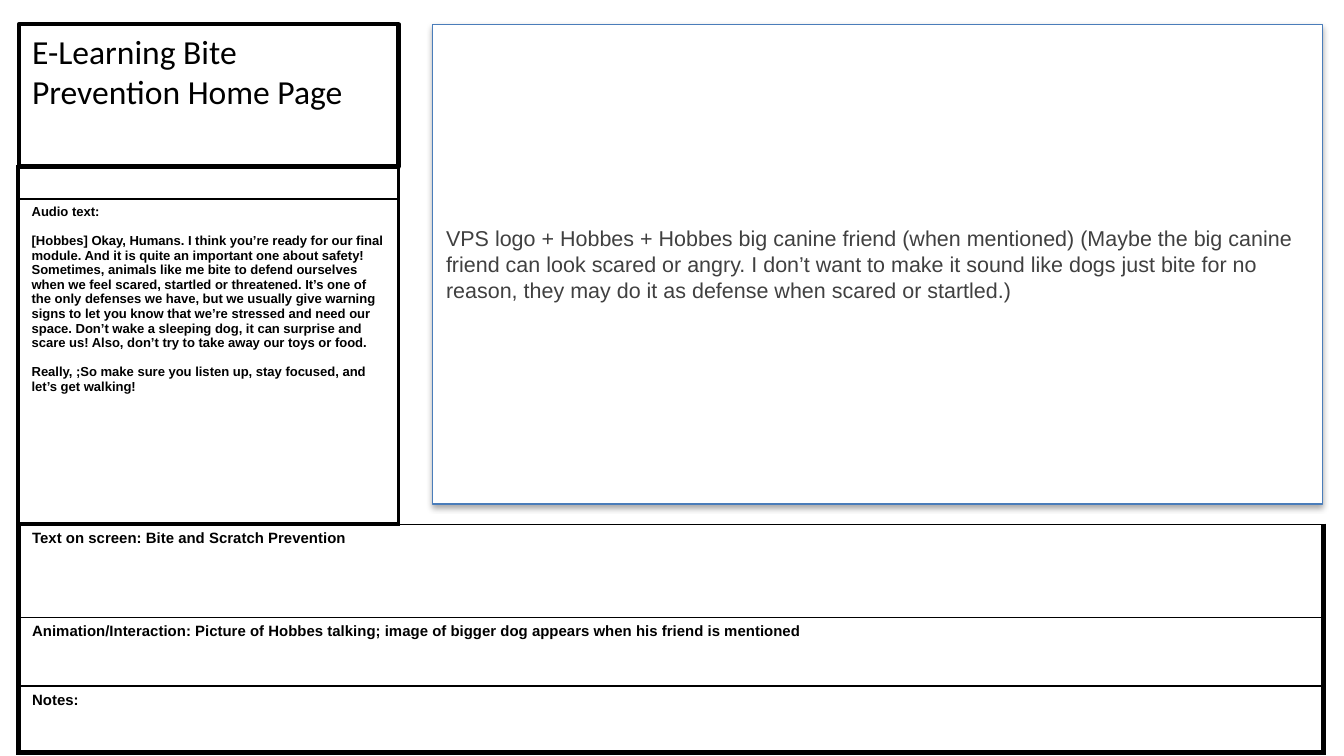
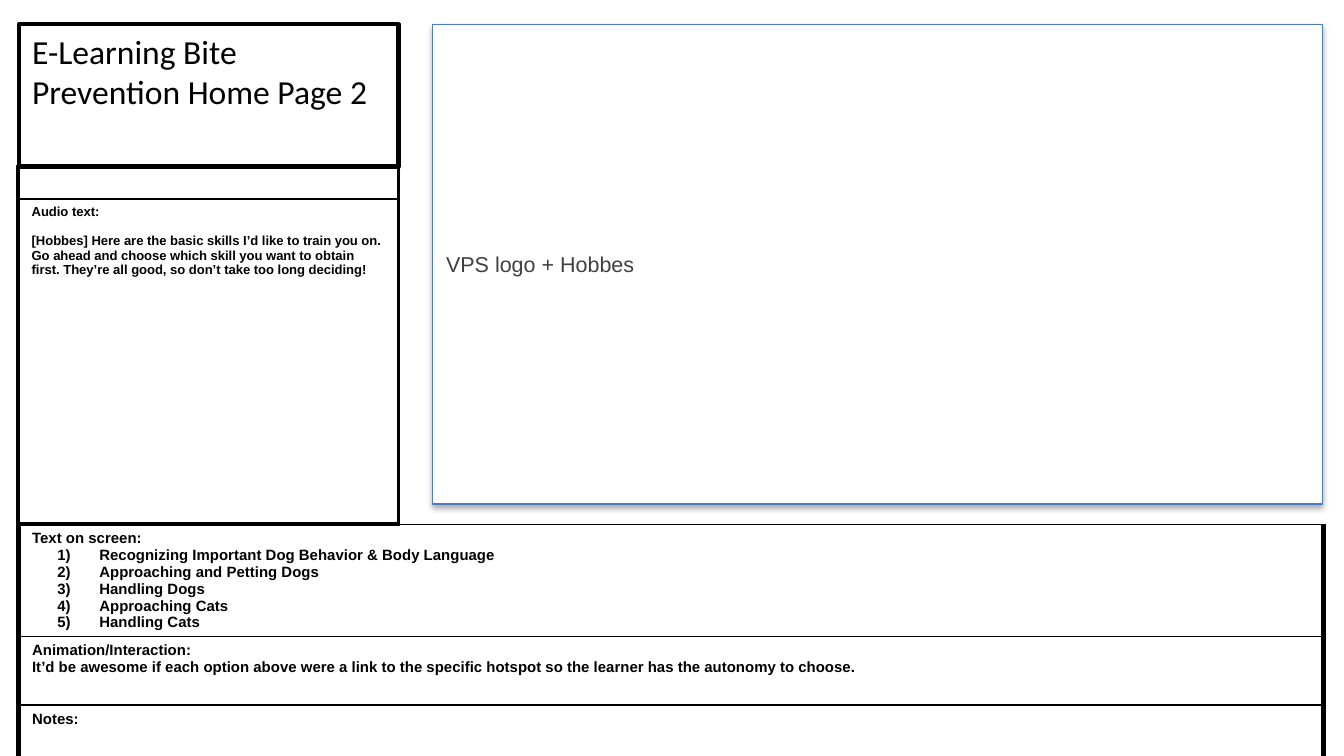
"""Build a two-slide e-learning storyboard with script, screen and remark panels."""
from dataclasses import dataclass

from lxml import etree
from pptx import Presentation
from pptx.dml.color import RGBColor
from pptx.enum.text import MSO_ANCHOR, MSO_AUTO_SIZE, PP_ALIGN
from pptx.oxml import parse_xml
from pptx.oxml.ns import nsdecls, qn
from pptx.util import Pt

LEFT = PP_ALIGN.LEFT
TOP, MIDDLE = MSO_ANCHOR.TOP, MSO_ANCHOR.MIDDLE
NO_AUTOFIT = MSO_AUTO_SIZE.NONE

STORYBOARD = [
    {
        "title": "E-Learning Bite Prevention Home Page",
        "audio": [
            "[Hobbes] Okay, Humans. I think you’re ready for our final module. And it is "
            "quite an important one about safety! Sometimes, animals like me bite to defend "
            "ourselves when we feel scared, startled or threatened. It’s one of the only "
            "defenses we have, but we usually give warning signs to let you know that we’re "
            "stressed and need our space. Don’t wake a sleeping dog, it can surprise and "
            "scare us! Also, don’t try to take away our toys or food.",
            "Really, ;So make sure you listen up, stay focused, and let’s get walking!",
        ],
        "scene": "VPS logo + Hobbes + Hobbes big canine friend (when mentioned) (Maybe the "
                 "big canine friend can look scared or angry. I don’t want to make it sound "
                 "like dogs just bite for no reason, they may do it as defense when scared "
                 "or startled.)",
        "screen": ["Text on screen: Bite and Scratch Prevention"],
        "options": [],
        "interaction": ["Animation/Interaction: Picture of Hobbes talking; image of bigger "
                        "dog appears when his friend is mentioned"],
    },
    {
        "title": "E-Learning Bite Prevention Home Page 2",
        "audio": [
            "[Hobbes] Here are the basic skills I’d like to train you on. Go ahead and choose "
            "which skill you want to obtain first. They’re all good, so don’t take too long "
            "deciding!",
        ],
        "scene": "VPS logo + Hobbes",
        "screen": ["Text on screen:"],
        "options": [
            "Recognizing Important Dog Behavior & Body Language",
            "Approaching and Petting Dogs",
            "Handling Dogs",
            "Approaching Cats",
            "Handling Cats",
        ],
        "interaction": [
            "Animation/Interaction:",
            "It’d be awesome if each option above were a link to the specific hotspot so the "
            "learner has the autonomy to choose.",
        ],
    },
]


@dataclass(frozen=True)
class Theme:
    black: str = "000000"
    white: str = "FFFFFF"
    gray: str = "404040"
    blue: str = "4A7DBA"
    heading: str = "Calibri"
    text: str = "Arial"
    title_size: float = 18
    scene_size: float = 11.5
    detail_size: float = 8
    audio_size: float = 7
    rule: float = 1
    frame: float = 2.25
    heavy: float = 3


THEME = Theme()
SLIDE_SIZE = 720, 405
TITLE_BOX = 10, 13, 203.5, 76.25
SCENE_BOX = 231.75, 13, 476.75, 257
AUDIO_AT, AUDIO_COLS, AUDIO_ROWS = (9.75, 89.25), [203.75], [17.5, 174]
DETAIL_AT, DETAIL_COLS, DETAIL_ROWS = (10, 281), [345, 354], [49.75, 36.75, 35.5]
CELL_INSETS = {"margin_left": Pt(7.2), "margin_right": Pt(7.2),
               "margin_top": Pt(3), "margin_bottom": Pt(3)}
BOX_INSETS = {"margin_left": Pt(7.2), "margin_right": Pt(7.2),
              "margin_top": Pt(3.6), "margin_bottom": Pt(3.6)}

TITLE_FONT = {"name": THEME.heading, "size": Pt(THEME.title_size), "bold": False}
SCENE_FONT = {"name": THEME.text, "size": Pt(THEME.scene_size), "bold": False}
DETAIL_FONT = {"name": THEME.text, "size": Pt(THEME.detail_size), "bold": True}
AUDIO_FONT = {**DETAIL_FONT, "size": Pt(THEME.audio_size)}

FLUSH = {"alignment": LEFT, "space_before": Pt(0)}
TITLE_SPACING = {**FLUSH, "space_before": Pt(5.4)}
SPEECH_SPACING = {**FLUSH, "space_before": Pt(7.8)}


def apply(target, values):
    for name, value in values.items():
        setattr(target, name, value)


def write(frame, lines, font, color=THEME.black):
    for index, (text, spacing, bullet) in enumerate(lines):
        paragraph = frame.paragraphs[0] if index == 0 else frame.add_paragraph()
        apply(paragraph, spacing)
        run = paragraph.add_run()
        run.text = text
        apply(run.font, font)
        run.font.color.rgb = RGBColor.from_string(color)
        properties = paragraph._p.get_or_add_pPr()
        indent = (Pt(36), Pt(-22.5)) if bullet else (0, 0)
        for name, value in zip(("marL", "indent"), indent):
            properties.set(name, str(value))
        if bullet:
            etree.SubElement(properties, qn("a:buAutoNum"), type="arabicParenR")
        else:
            etree.SubElement(properties, qn("a:buNone"))


def plain(lines):
    return [(line, FLUSH, False) for line in lines]


def fill_panel(panel, box, anchor, line, width):
    apply(panel, dict(zip(("left", "top", "width", "height"), map(Pt, box))))
    panel.fill.solid()
    panel.fill.fore_color.rgb = RGBColor.from_string(THEME.white)
    panel.line.color.rgb = RGBColor.from_string(line)
    panel.line.width = Pt(width)
    apply(panel.text_frame, {**BOX_INSETS, "vertical_anchor": anchor,
                             "word_wrap": True, "auto_size": NO_AUTOFIT})


def add_shadow(panel):
    panel._element.spPr.append(parse_xml(
        f'<a:effectLst {nsdecls("a")}><a:outerShdw blurRad="{Pt(3.1)}" dist="{Pt(1.8)}" '
        f'dir="5400000" rotWithShape="0"><a:srgbClr val="{THEME.black}">'
        '<a:alpha val="35000"/></a:srgbClr></a:outerShdw></a:effectLst>'))


def set_borders(cell, widths):
    properties = cell._tc.get_or_add_tcPr()
    for side, width in zip("LRTB", widths):
        properties.append(parse_xml(
            f'<a:ln{side} {nsdecls("a")} w="{Pt(width)}"><a:solidFill>'
            f'<a:srgbClr val="{THEME.black}"/></a:solidFill></a:ln{side}>'))


def add_grid(slide, at, columns, rows, contents, font, sides, top, bottom):
    table = slide.shapes.add_table(len(rows), len(columns), *map(Pt, at),
                                   Pt(sum(columns)), Pt(sum(rows))).table
    apply(table, {"first_row": False, "horz_banding": False})
    for column, width in zip(table.columns, columns):
        column.width = Pt(width)
    edges = [top] + [THEME.rule] * (len(rows) - 1) + [bottom]
    for index, (row, height) in enumerate(zip(table.rows, rows)):
        row.height = Pt(height)
        for cell in row.cells:
            set_borders(cell, (sides, sides, edges[index], edges[index + 1]))
            cell.fill.background()
            apply(cell, CELL_INSETS)
            if not contents[index]:
                etree.SubElement(cell.text_frame.paragraphs[0]._p, qn("a:endParaRPr"),
                                 sz=str(font["size"].centipoints))
        first = table.cell(index, 0)
        if len(columns) > 1:
            first.merge(table.cell(index, len(columns) - 1))
        write(first.text_frame, contents[index], font)


def build_page(deck, page):
    slide = deck.slides.add_slide(deck.slide_layouts[1])
    title, scene = slide.shapes.title, slide.placeholders[1]
    fill_panel(title, TITLE_BOX, TOP, THEME.black, THEME.frame)
    write(title.text_frame, [(page["title"], TITLE_SPACING, False)], TITLE_FONT)
    fill_panel(scene, SCENE_BOX, MIDDLE, THEME.blue, 0.75)
    add_shadow(scene)
    write(scene.text_frame, plain([page["scene"]]), SCENE_FONT, THEME.gray)

    speech = [(line, SPEECH_SPACING, False) for line in page["audio"]]
    add_grid(slide, AUDIO_AT, AUDIO_COLS, AUDIO_ROWS,
             [[], plain(["Audio text:"]) + speech],
             AUDIO_FONT, THEME.frame, THEME.frame, THEME.frame)

    options = [(option, FLUSH, True) for option in page["options"]]
    add_grid(slide, DETAIL_AT, DETAIL_COLS, DETAIL_ROWS,
             [plain(page["screen"]) + options, plain(page["interaction"]), plain(["Notes:"])],
             DETAIL_FONT, THEME.heavy, THEME.rule, THEME.heavy)


def main():
    deck = Presentation()
    deck.slide_width, deck.slide_height = map(Pt, SLIDE_SIZE)
    for page in STORYBOARD:
        build_page(deck, page)
    deck.save("out.pptx")


main()
